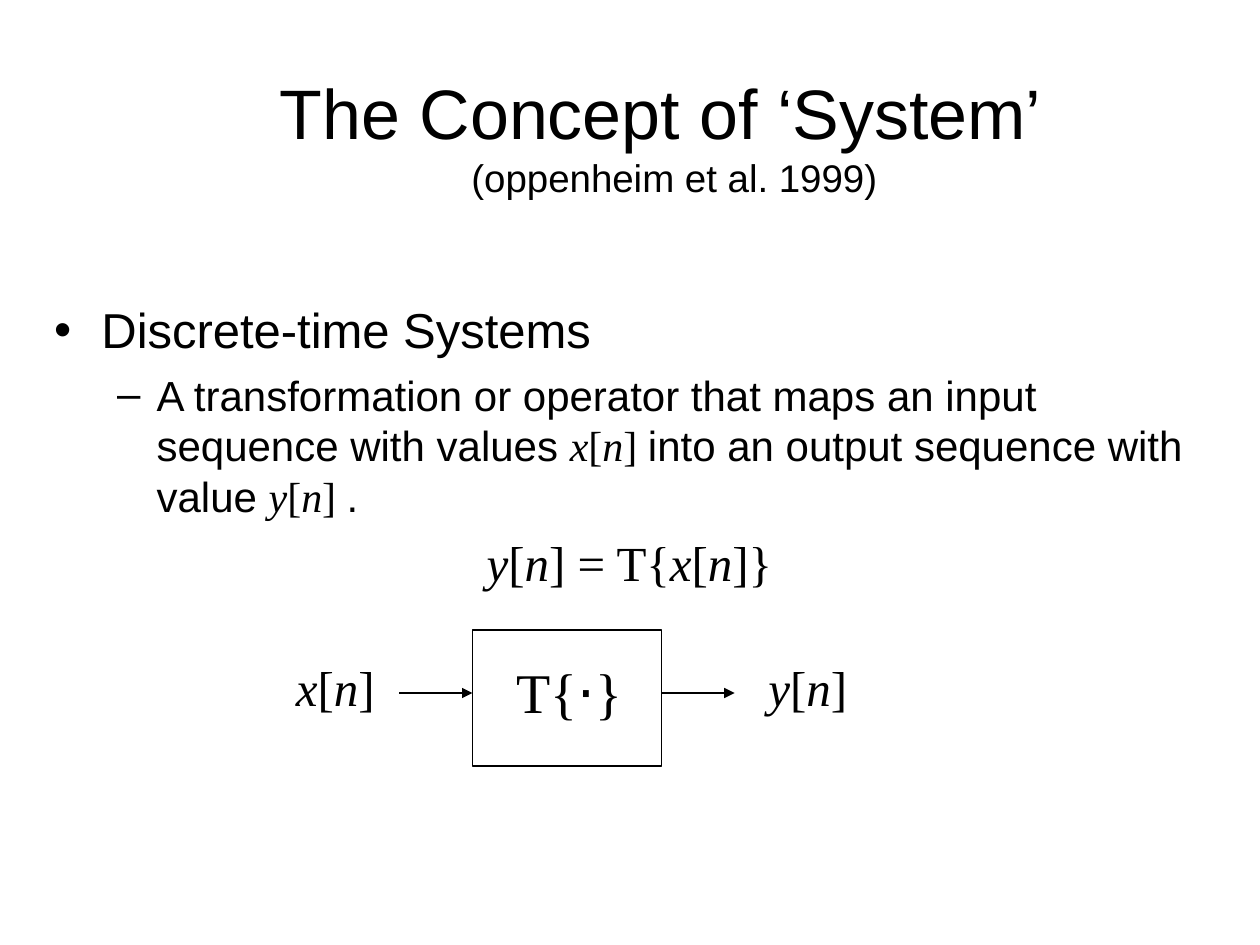
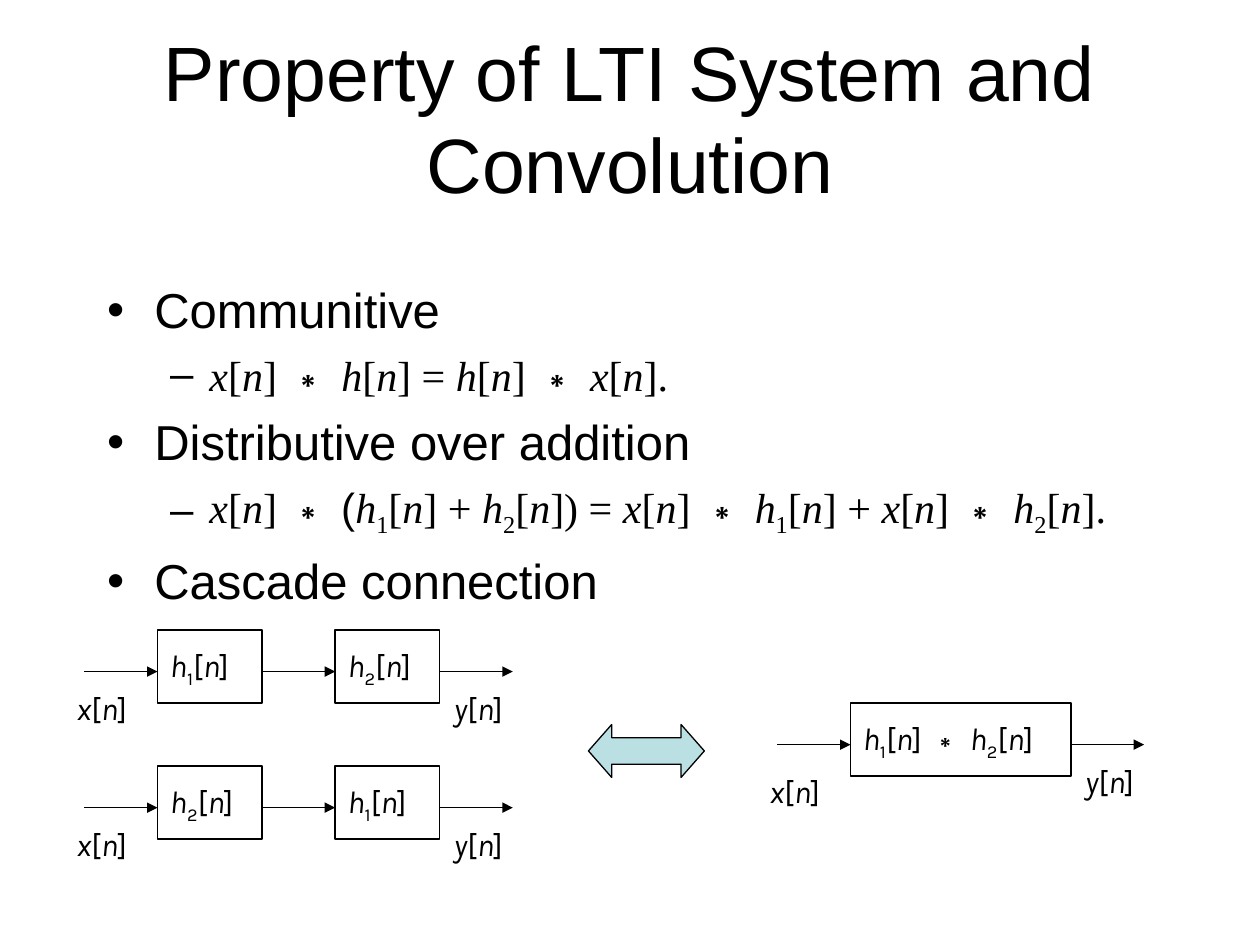
from itertools import groupby

from lxml import etree
from pptx import Presentation
from pptx.dml.color import RGBColor
from pptx.enum.shapes import MSO_CONNECTOR, MSO_SHAPE
from pptx.enum.text import MSO_ANCHOR, MSO_AUTO_SIZE, PP_ALIGN
from pptx.oxml.ns import qn
from pptx.shapes.connector import Connector
from pptx.util import Inches, Pt

RECTANGLE = MSO_SHAPE.RECTANGLE
DOUBLE_ARROW = MSO_SHAPE.LEFT_RIGHT_ARROW
STRAIGHT = MSO_CONNECTOR.STRAIGHT
CENTER = PP_ALIGN.CENTER
MIDDLE = MSO_ANCHOR.MIDDLE
TOP = MSO_ANCHOR.TOP
NO_AUTOFIT = MSO_AUTO_SIZE.NONE

BLACK = "000000"
PALE_TEAL = "BBE0E3"
TEXT_FONT = "Arial"
SERIF = "Times New Roman"
KARLA = "Karla"
ARROW_LENGTH = 0.58
BOX_HEIGHT = 0.58


def write(paragraph, markup, size, math_font=SERIF):
    """Write text; between $ signs, variables are italic and digits subscript."""
    for index, part in enumerate(markup.split("$")):
        is_math = index % 2 == 1
        styles = groupby(part, lambda c: (is_math and c in "xyhn", is_math and c.isdigit()))
        for (italic, subscript), characters in styles:
            run = paragraph.add_run()
            run.text = "".join(characters)
            run.font.name = math_font if is_math else TEXT_FONT
            run.font.size = Pt(size)
            run.font.color.rgb = RGBColor.from_string(BLACK)
            run.font.italic = italic
            if subscript:
                run.font._element.set("baseline", "-25000")


def paint(shape, line_color, fill_color=None):
    """Set a thin outline, plus an arrowhead on a connector or the fill of a shape."""
    shape.line.color.rgb = RGBColor.from_string(line_color)
    shape.line.width = Pt(0.75)
    if isinstance(shape, Connector):
        properties = shape._element.spPr
        etree.SubElement(properties.find(qn("a:ln")), qn("a:tailEnd"), type="triangle")
        etree.SubElement(properties, qn("a:effectLst"))
        return
    shape.shadow.inherit = False
    if fill_color:
        shape.fill.solid()
        shape.fill.fore_color.rgb = RGBColor.from_string(fill_color)
    else:
        shape.fill.background()


presentation = Presentation()
presentation.slide_width = Inches(10)
presentation.slide_height = Inches(7.5)

# Signal flow of the single system: arrows (left, y), boxes and labels
system_arrows = [(3.17, 5.5), (5.25, 5.5)]
system_boxes = [(3.75, 5, 1.5, 1.08)]
system_labels = [
    (2.25, 5.17, 0.85, 0.57, "$x[n]$", 28, SERIF),
    (4, 5.17, 1.08, 1.17, "$T{$⋅$}$", 32, SERIF),
    (6, 5.17, 0.85, 0.57, "$y[n]$", 28, SERIF),
]

# Equivalent cascades: left, top, box width, input label drop, box texts
cascades = [
    (0.67, 5, 0.83, 0.42, ["$h1[n]$", "$h2[n]$"]),
    (0.67, 6.08, 0.83, 0.42, ["$h2[n]$", "$h1[n]$"]),
    (6.17, 5.58, 1.75, 0.5, ["$h1[n] $∗ $h2[n]$"]),
]
cascade_arrows, cascade_boxes, cascade_labels = [], [], []
for left, top, box_width, input_drop, box_texts in cascades:
    arrow_y = top + 0.33
    cascade_labels.append((left - 0.16, top + input_drop, 0.65, 0.4, "$x[n]$", 18, KARLA))
    for box_text in box_texts:
        cascade_arrows.append((left, arrow_y))
        left += ARROW_LENGTH
        cascade_boxes.append((left, top, box_width, BOX_HEIGHT))
        cascade_labels.append((left, top + 0.08, box_width + 0.08, 0.44, box_text, 18, KARLA))
        left += box_width
    cascade_arrows.append((left, arrow_y))
    cascade_labels.append((left + 0.01, top + 0.42, 0.65, 0.4, "$y[n]$", 18, KARLA))

# Body lines are (level, text); level None is a centred formula
slides = [
    {
        "title": [("The Concept of ‘System’ ", 40), (" (oppenheim et al. 1999)", 22)],
        "title_at": (0.94, 0.27, 8.74, 1.6),
        "body": [
            (0, "Discrete-time Systems"),
            (1, "A transformation or operator that maps an input sequence with values "
                "$x[n] $into an output sequence with value $y[n] $."),
            (None, "$y[n] = T{x[n]}$"),
        ],
        "body_at": (0.33, 2.33, 9.33, 4.75),
        "arrows": system_arrows, "boxes": system_boxes, "labels": system_labels,
    },
    {
        "title": [("Property of LTI System and Convolution", 44)],
        "title_at": (0.5, 0.3, 9, 1.25),
        "body": [
            (0, "Communitive"),
            (1, "$x[n] $∗ $h[n] = h[n] $∗ $x[n].$"),
            (0, "Distributive over addition"),
            (1, "$x[n] $∗ ($h1[n] + h2[n]) = x[n] $∗ $h1[n] + x[n] $∗ $h2[n].$"),
            (0, "Cascade connection"),
        ],
        "body_at": (0.75, 2.17, 8.67, 2.58),
        "arrows": cascade_arrows, "boxes": cascade_boxes, "labels": cascade_labels,
    },
]

for content in slides:
    slide = presentation.slides.add_slide(presentation.slide_layouts[1])
    title, body = slide.shapes.title, slide.placeholders[1]
    for placeholder, place in ((title, content["title_at"]), (body, content["body_at"])):
        placeholder.left, placeholder.top, placeholder.width, placeholder.height = map(Inches, place)
        placeholder.text_frame.auto_size = NO_AUTOFIT

    frame = title.text_frame
    frame.vertical_anchor = MIDDLE
    frame.margin_left = frame.margin_right = frame.margin_top = frame.margin_bottom = 0
    paragraph = frame.paragraphs[0]
    paragraph.alignment = CENTER
    for index, (text, size) in enumerate(content["title"]):
        if index:
            paragraph.add_line_break()
        write(paragraph, text, size)

    frame = body.text_frame
    frame.vertical_anchor = TOP
    for index, (level, text) in enumerate(content["body"]):
        paragraph = frame.add_paragraph() if index else frame.paragraphs[0]
        paragraph.level = level or 0
        paragraph.space_before = Pt(6 if level == 1 else 7)
        if level is None:
            paragraph.alignment = CENTER
            etree.SubElement(paragraph._element.get_or_add_pPr(), qn("a:buNone"))
        write(paragraph, text, 24 if level == 1 else 28)

    for box in content["boxes"]:
        paint(slide.shapes.add_shape(RECTANGLE, *map(Inches, box)), BLACK)
    for left, y in content["arrows"]:
        ends = map(Inches, (left, y, left + ARROW_LENGTH, y))
        paint(slide.shapes.add_connector(STRAIGHT, *ends), BLACK)
    for *place, text, size, font in content["labels"]:
        frame = slide.shapes.add_textbox(*map(Inches, place)).text_frame
        frame.word_wrap = True
        write(frame.paragraphs[0], text, size, font)

equivalence = slide.shapes.add_shape(
    DOUBLE_ARROW, Inches(4.67), Inches(5.75), Inches(0.92), Inches(0.42))
equivalence.adjustments[0] = 0.5
equivalence.adjustments[1] = 0.44
paint(equivalence, BLACK, PALE_TEAL)

presentation.save("out.pptx")
